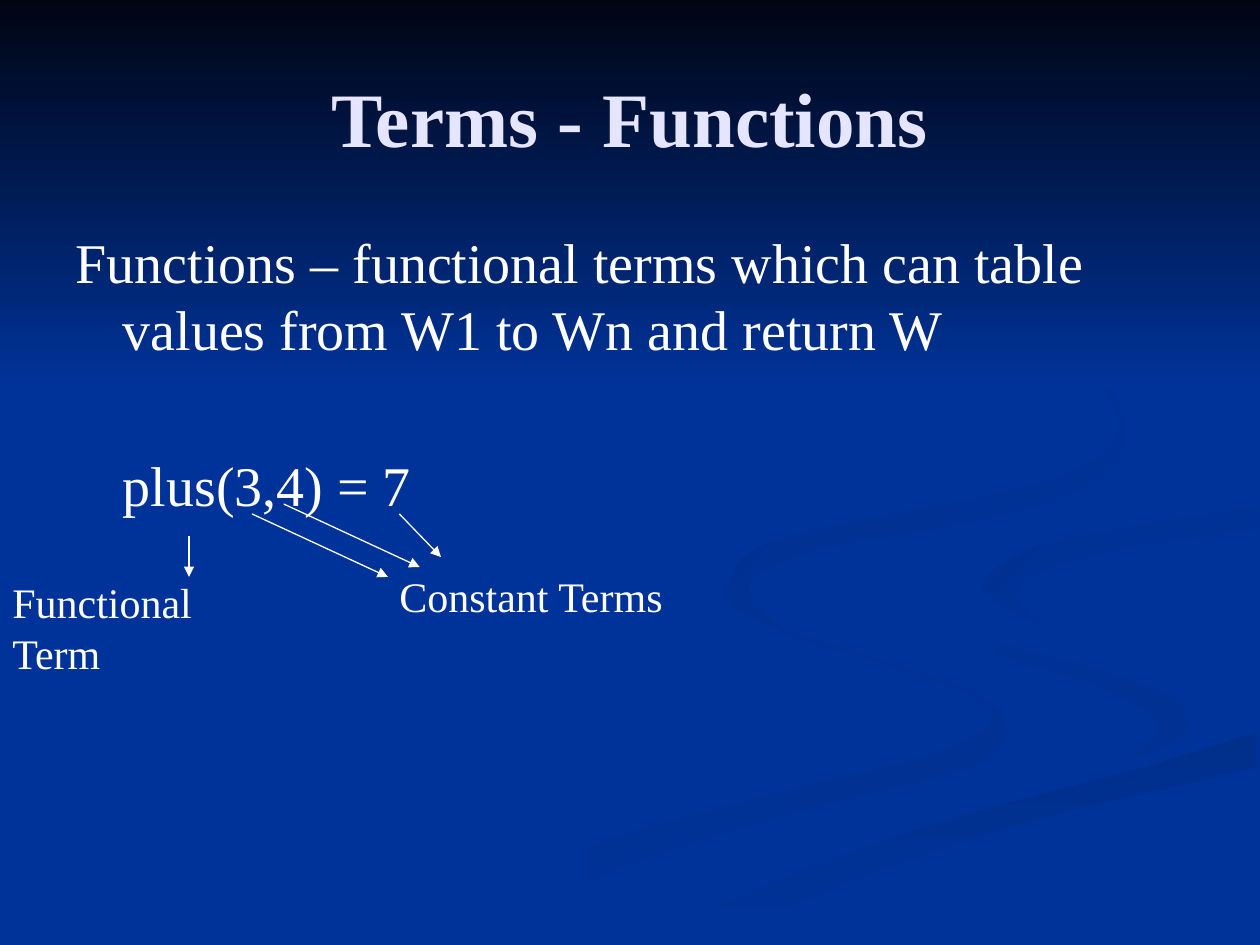
from lxml import etree
from pptx import Presentation
from pptx.dml.color import RGBColor
from pptx.enum.shapes import MSO_CONNECTOR
from pptx.enum.text import MSO_ANCHOR, MSO_AUTO_SIZE, PP_ALIGN
from pptx.oxml.ns import qn
from pptx.util import Cm, Pt

STRAIGHT = MSO_CONNECTOR.STRAIGHT
TOP, MIDDLE = MSO_ANCHOR.TOP, MSO_ANCHOR.MIDDLE
LEFT, CENTER = PP_ALIGN.LEFT, PP_ALIGN.CENTER
NO_AUTOFIT = MSO_AUTO_SIZE.NONE

FONT = "Times New Roman"
BLUE = RGBColor(0x00, 0x33, 0x99)
NIGHT = RGBColor(0x00, 0x05, 0x14)
WAVE_FAINT = RGBColor(0x00, 0x31, 0x93)
WAVE_SOFT = RGBColor(0x00, 0x30, 0x91)
WAVE_MID = RGBColor(0x00, 0x2F, 0x8E)
WAVE_DEEP = RGBColor(0x00, 0x2F, 0x8C)
LAVENDER = RGBColor(0xE5, 0xE5, 0xFF)
WHITE = RGBColor(0xFF, 0xFF, 0xFF)

RIGHTWARD, DIAGONAL, DOWNWARD = 0, 315, 270
UNITS_PER_INCH = 1000
UNIT = Cm(2.54) / UNITS_PER_INCH
STEPS_PER_KNOT = 5

SLIDE_WIDTH, SLIDE_HEIGHT = 25.4, 19.05
MARGIN = 1.27
CONTENT_WIDTH = SLIDE_WIDTH - 2 * MARGIN
LABEL_HEIGHT = 1.27
HANGING = Cm(0.95)

ARROWS = {
    "function name": (3.81, 10.8, 3.81, 11.63),
    "first argument": (5.08, 10.36, 7.82, 11.63),
    "second argument": (5.72, 10.16, 8.46, 11.43),
    "result": (8.05, 10.36, 8.89, 11.23),
}


def blend(before, start, end, after, t):
    return (2 * start + (end - before) * t
            + (2 * before - 5 * start + 4 * end - after) * t ** 2
            + (3 * start - before - 3 * end + after) * t ** 3) / 2


def curve(*knots):
    padded = [knots[0], *knots, knots[-1]]
    points = []
    for neighbours in zip(padded, padded[1:], padded[2:], padded[3:]):
        xs, ys = zip(*neighbours)
        for step in range(STEPS_PER_KNOT):
            t = step / STEPS_PER_KNOT
            points.append((blend(*xs, t), blend(*ys, t)))
    return points + [knots[-1]]


def ribbon(one_edge, other_edge):
    return one_edge + other_edge[::-1]


def backdrop_outlines():
    long_left = curve(
        (5.75, 4.59), (5.7, 4.68), (5.93, 4.91), (6.54, 5.13), (7.41, 5.39),
        (7.83, 5.59), (7.8, 5.79), (7.27, 6.02), (6.16, 6.29), (4.58, 6.74),
        (3, 7.49))
    long_right = curve(
        (5.75, 4.59), (5.83, 4.77), (6.14, 4.96), (6.82, 5.19), (7.57, 5.43),
        (7.95, 5.67), (7.95, 5.92), (7.56, 6.14), (6.51, 6.4), (4.99, 6.87),
        (3.61, 7.49))
    hook_left = curve(
        (7.24, 4.64), (7.33, 4.88), (7.81, 5.18), (8.54, 5.39), (9.07, 5.62),
        (9.18, 5.81), (8.94, 6.05))
    hook_right = curve(
        (7.24, 4.64), (7.45, 4.9), (7.92, 5.09), (8.7, 5.3), (9.3, 5.53),
        (9.43, 5.76), (9.25, 5.93), (8.94, 6.05))
    band_upper = curve(
        (9.98, 5.81), (9.03, 6.1), (7.64, 6.47), (6.3, 6.93), (5.03, 7.49))
    band_lower = curve(
        (9.98, 6.09), (8.21, 6.51), (6.95, 6.92), (6.14, 7.26), (5.71, 7.49))
    curl_outer = curve(
        (9.98, 4.02), (8.98, 4.18), (8.21, 4.34), (7.81, 4.6), (7.91, 4.78),
        (8.26, 4.96))
    curl_inner = curve(
        (9.98, 4.2), (8.96, 4.35), (8.28, 4.53), (8.05, 4.72), (8.26, 4.96))
    swirl_outer = curve(
        (7.62, 2.33), (8.43, 2.75), (8.86, 3.16), (8.89, 3.62), (8.41, 3.96),
        (7.39, 4.21), (6.49, 4.36), (5.94, 4.65), (6.22, 5))
    swirl_inner = curve(
        (7.62, 2.33), (8.46, 2.79), (8.89, 3.35), (8.61, 3.7), (7.91, 3.92),
        (6.76, 4.14), (5.97, 4.37), (5.8, 4.74), (6.22, 5))
    field_lower = curve((8.94, 6.05), (7.8, 6.34), (6.19, 6.84), (4.77, 7.49))
    field_right = curve((9.98, 5.81), (9.98, 5.38), (9.04, 5.19), (8.26, 4.96))
    field_upper = curve((9.98, 3.87), (8.74, 4.08), (7.7, 4.27), (7.24, 4.64))
    field = (hook_right + field_lower + band_upper[::-1] + field_right
             + curl_outer[::-1] + field_upper)
    shade = [(0, 0), (0, 3.08), (10, 3.08), (10, 0)]
    return [
        (ribbon(long_left, long_right), BLUE, WAVE_FAINT, RIGHTWARD),
        (ribbon(hook_left, hook_right), BLUE, WAVE_FAINT, DIAGONAL),
        (ribbon(band_upper, band_lower), WAVE_DEEP, BLUE, DOWNWARD),
        (field, BLUE, BLUE, RIGHTWARD),
        (ribbon(curl_outer, curl_inner), WAVE_SOFT, BLUE, DIAGONAL),
        (ribbon(swirl_outer, swirl_inner), WAVE_MID, BLUE, DIAGONAL),
        (shade, NIGHT, BLUE, DOWNWARD),
    ]


def add_outline(slide, points, start_color, end_color, angle):
    first, *rest = [(x * UNITS_PER_INCH, y * UNITS_PER_INCH) for x, y in points]
    builder = slide.shapes.build_freeform(*first, scale=UNIT)
    builder.add_line_segments(rest, close=True)
    shape = builder.convert_to_shape()
    shape.shadow.inherit = False
    shape.line.fill.background()
    if start_color == end_color:
        shape.fill.solid()
        shape.fill.fore_color.rgb = start_color
        return
    shape.fill.gradient()
    shape.fill.gradient_angle = angle
    for stop, color in zip(shape.fill.gradient_stops, (start_color, end_color)):
        stop.color.rgb = color


def write_text(paragraph, text, size=24, color=WHITE, bold=False, align=LEFT,
               before=0):
    paragraph.alignment = align
    paragraph.space_before = Pt(before)
    run = paragraph.add_run()
    run.text = text
    run.font.name = FONT
    run.font.size = Pt(size)
    run.font.bold = bold
    run.font.color.rgb = color


def set_indent(paragraph, first_line):
    properties = paragraph._p.get_or_add_pPr()
    properties.set("marL", str(HANGING))
    properties.set("indent", str(first_line))
    etree.SubElement(properties, qn("a:buNone"))


def place(shape, left, top, width, height, anchor=TOP):
    shape.left, shape.top = Cm(left), Cm(top)
    shape.width, shape.height = Cm(width), Cm(height)
    frame = shape.text_frame
    frame.word_wrap = True
    frame.auto_size = NO_AUTOFIT
    frame.vertical_anchor = anchor
    return frame


def add_label(slide, text, left, top, width, margin_right=0.25):
    box = slide.shapes.add_textbox(0, 0, 0, 0)
    frame = place(box, left, top, width, LABEL_HEIGHT)
    frame.margin_right = Cm(margin_right)
    write_text(frame.paragraphs[0], text)


def add_arrow(slide, *ends):
    connector = slide.shapes.add_connector(STRAIGHT, *map(Cm, ends))
    connector.line.color.rgb = WHITE
    connector.line.width = Pt(0.75)
    line = connector._element.spPr.find(qn("a:ln"))
    etree.SubElement(line, qn("a:tailEnd"), type="triangle")
    etree.SubElement(connector._element.spPr, qn("a:effectLst"))


def fill_title(title):
    frame = place(title, MARGIN, 0.76, CONTENT_WIDTH, 3.18, anchor=MIDDLE)
    write_text(frame.paragraphs[0], "Terms - Functions", size=44,
               color=LAVENDER, bold=True, align=CENTER)


def fill_body(body):
    frame = place(body, MARGIN, 4.45, CONTENT_WIDTH, 12.57)
    definition, example = frame.paragraphs[0], frame.add_paragraph()
    write_text(definition, "Functions – functional terms which can table "
               "values from W1 to Wn and return W", size=32, before=6)
    set_indent(definition, -HANGING)
    write_text(example, "plus(3,4) = 7", size=32, before=51)
    set_indent(example, 0)


def main():
    presentation = Presentation()
    presentation.slide_width = Cm(SLIDE_WIDTH)
    presentation.slide_height = Cm(SLIDE_HEIGHT)
    slide = presentation.slides.add_slide(presentation.slide_layouts[1])
    slide.background.fill.solid()
    slide.background.fill.fore_color.rgb = BLUE
    title, body = slide.placeholders
    for outline in backdrop_outlines():
        add_outline(slide, *outline)
    for placeholder in (title, body):
        slide.shapes._spTree.append(placeholder._element)
    fill_title(title)
    fill_body(body)
    for ends in ARROWS.values():
        add_arrow(slide, *ends)
    add_label(slide, "Functional Term", 0, 11.5, 6.05, margin_right=1.5)
    add_label(slide, "Constant Terms", 7.8, 11.38, 5.82)
    presentation.save("out.pptx")


if __name__ == "__main__":
    main()
